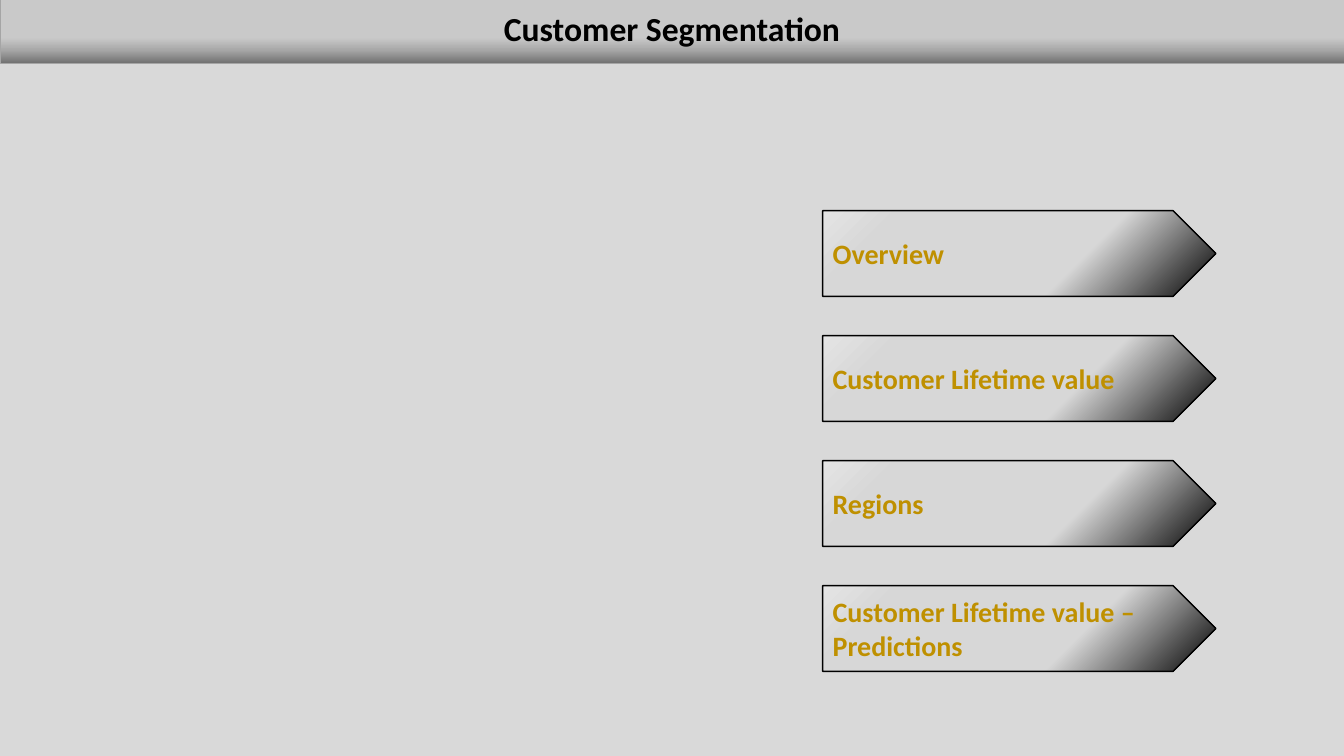
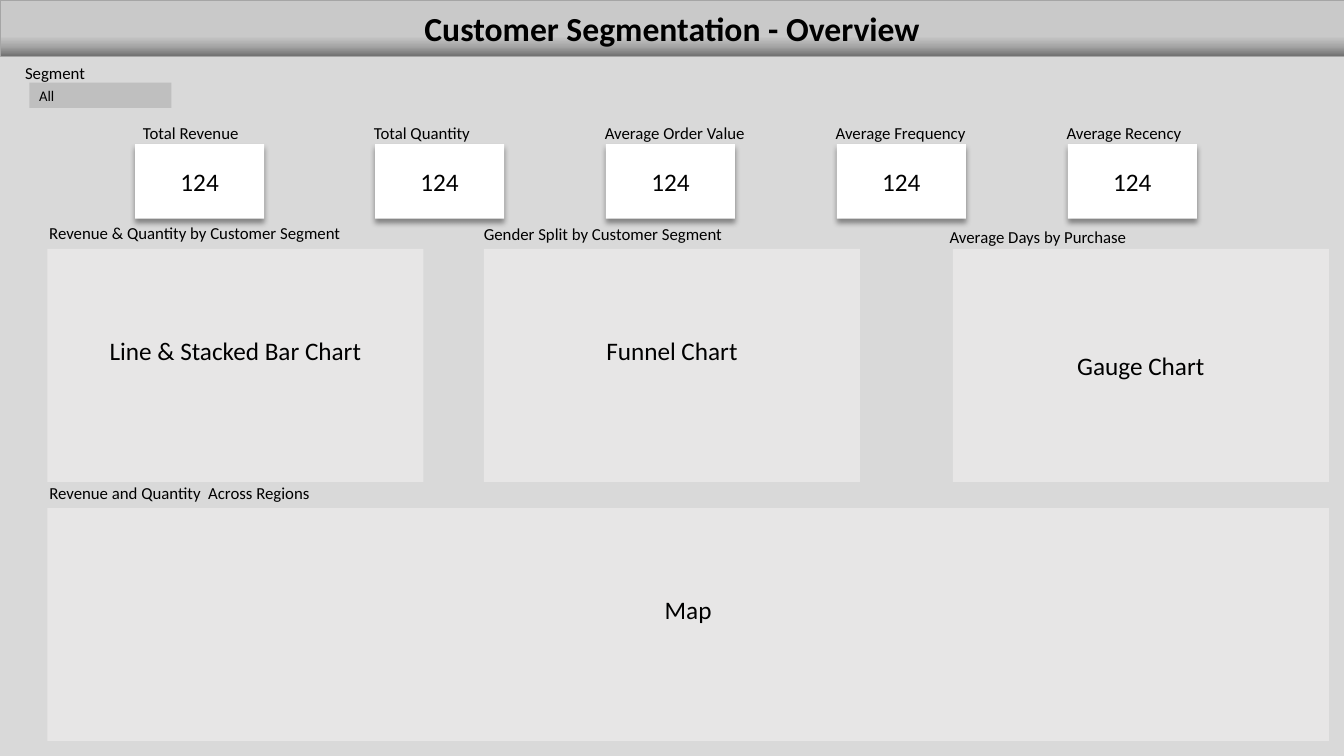
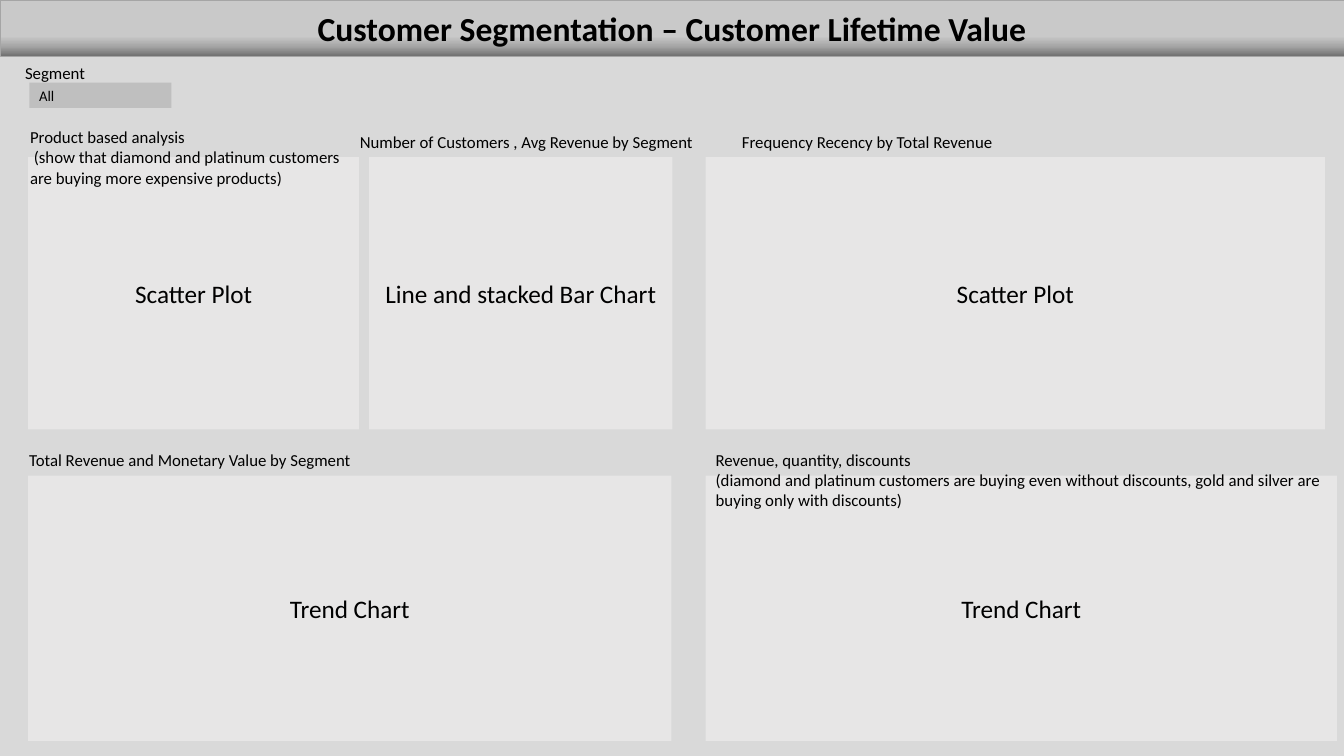
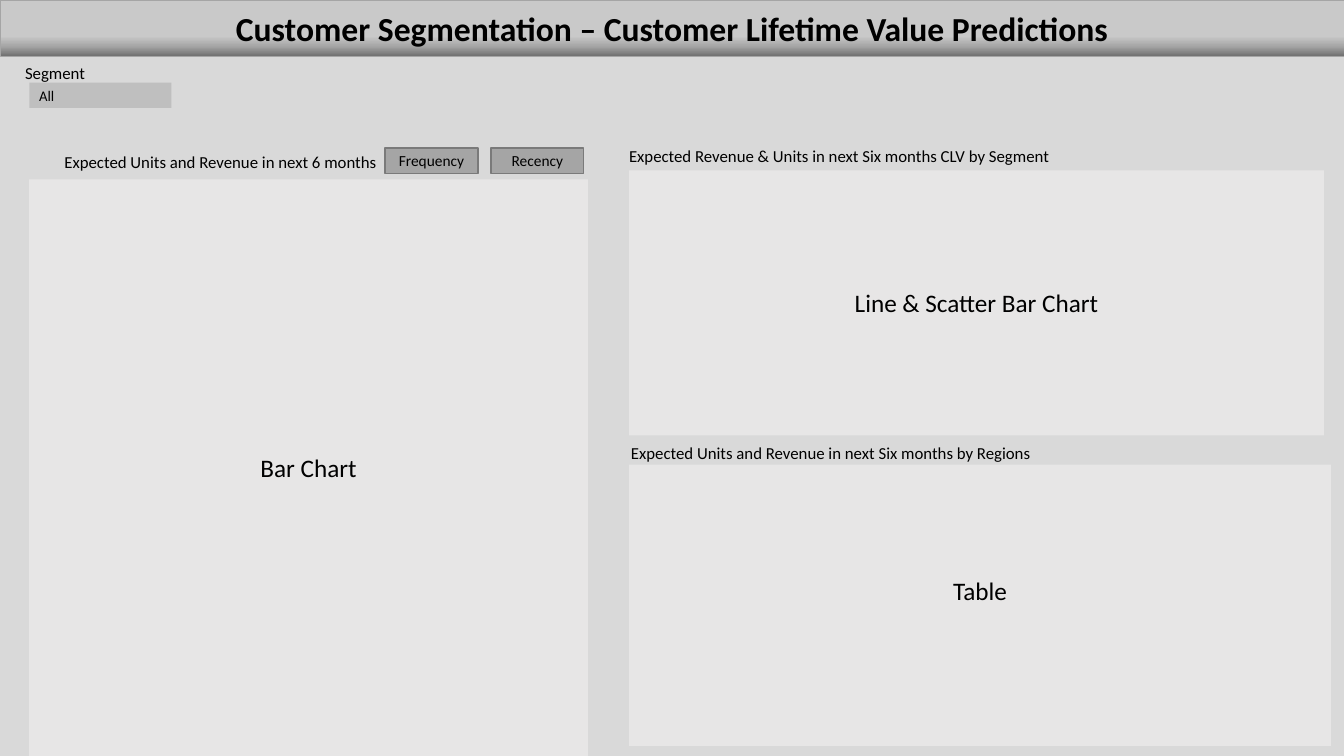
from lxml import etree
from pptx import Presentation
from pptx.dml.color import RGBColor
from pptx.enum import shapes, text
from pptx.oxml import ns
from pptx.util import Inches, Pt

# Shared colours, fonts and gradients
FONT = "Calibri"
BLACK = RGBColor(0x00, 0x00, 0x00)
WHITE = RGBColor(0xFF, 0xFF, 0xFF)
PAGE = RGBColor(0xD9, 0xD9, 0xD9)
PANEL = RGBColor(0xE7, 0xE6, 0xE6)
FILTER = RGBColor(0xBF, 0xBF, 0xBF)
GREY = RGBColor(0xA5, 0xA5, 0xA5)
BUTTON_LINE = RGBColor(0x7A, 0x7A, 0x7A)
GOLD = RGBColor(0xBF, 0x90, 0x00)
BAND_STOPS = [(0, "6F6F6F"), (19, "A8A8A8"), (36, "C9C9C9")]
ARROW_STOPS = [(0, "000000"), (36, "D7D7D7"), (83, "D7D7D7"), (100, "E4E4E4")]

LEFT, CENTER = text.PP_ALIGN.LEFT, text.PP_ALIGN.CENTER
RECT, ARROW = shapes.MSO_SHAPE.RECTANGLE, shapes.MSO_SHAPE.PENTAGON
SLIDE_W, SLIDE_H = 13.33, 7.5
BAND_BOX = (0, 0, SLIDE_W, 0.56)


# Basic parts
def write(sp, content, size, align=LEFT, color=BLACK, bold=False):
    tf = sp.text_frame
    tf.text = content
    tf.word_wrap = True
    for p in tf.paragraphs:
        p.alignment = align
        for r in p.runs:
            f = r.font
            f.name, f.size, f.bold = FONT, Pt(size), bold
            f.color.rgb = color


def set_gradient(sp, stops, angle):
    """Fill with (percent, colour) stops; the angle runs counter-clockwise."""
    sp.fill.gradient()
    sp.fill.gradient_angle = angle
    gs_list = next(sp._element.iter(ns.qn("a:gsLst")))
    for old in list(gs_list):
        gs_list.remove(old)
    for pos, color in stops:
        gs = etree.SubElement(gs_list, ns.qn("a:gs"), pos=str(pos * 1000))
        etree.SubElement(gs, ns.qn("a:srgbClr"), val=color)


def set_line(sp, color, width):
    sp.line.color.rgb = color
    sp.line.width = Pt(width)


def add_box(slide, box, fill=None, kind=RECT):
    sp = slide.shapes.add_shape(kind, *map(Inches, box))
    sp.shadow.inherit = False
    sp.text_frame.vertical_anchor = text.MSO_ANCHOR.MIDDLE
    sp.line.fill.background()
    if fill is not None:
        sp.fill.solid()
        sp.fill.fore_color.rgb = fill
    return sp


def add_caption(slide, content, x, y, w, h=0.3):
    write(slide.shapes.add_textbox(*map(Inches, (x, y, w, h))), content, 12)


def drop_shadow(sp):
    effects = sp._element.spPr.find(ns.qn("a:effectLst"))
    shadow = etree.SubElement(effects, ns.qn("a:outerShdw"), blurRad=str(Pt(4)),
                              dist=str(Pt(3)), dir="5400000", algn="t", rotWithShape="0")
    color = etree.SubElement(shadow, ns.qn("a:srgbClr"), val="000000")
    etree.SubElement(color, ns.qn("a:alpha"), val="40000")


# Regions
def new_slide(prs, title, box=BAND_BOX):
    """Title-only slide with the title as a gradient band."""
    slide = prs.slides.add_slide(prs.slide_layouts[5])
    sp = slide.shapes.title
    sp.left, sp.top, sp.width, sp.height = map(Inches, box)
    set_gradient(sp, BAND_STOPS, 90)
    set_line(sp, GREY, 0.5)
    write(sp, title, 24, CENTER, bold=True)
    sp.text_frame.auto_size = text.MSO_AUTO_SIZE.NONE
    sp.text_frame.vertical_anchor = text.MSO_ANCHOR.MIDDLE
    return slide


def segment_filter(slide, x=0.29, y=0.82):
    write(add_box(slide, (x, y, 1.41, 0.25), FILTER), "All", 10.5)
    add_caption(slide, "Segment", x - 0.14, y - 0.25, 1.17)


def menu_arrow(slide, content, box):
    sp = add_box(slide, box, kind=ARROW)
    set_gradient(sp, ARROW_STOPS, 135)
    set_line(sp, BLACK, 1)
    write(sp, content, 20, color=GOLD, bold=True)


def metric_card(slide, name, x, y, dx):
    """Caption at x, y with its value card dx to the right."""
    sp = add_box(slide, (x + dx, y + 0.26, 1.28, 0.74), WHITE)
    drop_shadow(sp)
    write(sp, "124", 18, CENTER)
    add_caption(slide, name, x, y, 1.6)


def chart_panel(slide, name, caption, box, dx=-0.08, dy=-0.3, caption_w=None, raised=False):
    """Chart area with a caption offset from its top-left corner."""
    x, y, w, h = box
    sp = add_box(slide, box, PANEL)
    write(sp, name, 18, CENTER)
    if raised:
        sp.text_frame.margin_bottom = Inches(0.35)
    caption_h = 0.71 if "\n" in caption else 0.3
    add_caption(slide, caption, x + dx, y + dy, caption_w or w, caption_h)


def button(slide, name, box):
    sp = add_box(slide, box, GREY)
    set_line(sp, BUTTON_LINE, 1)
    write(sp, name, 11, CENTER)


# Slides
def menu_slide(prs):
    slide = new_slide(prs, "Customer Segmentation", (0, -0.08, SLIDE_W, 0.71))
    entries = ["Overview", "Customer Lifetime value", "Regions",
               "Customer Lifetime value –\nPredictions"]
    for i, entry in enumerate(entries):
        menu_arrow(slide, entry, (8.16, 2.09 + 1.24 * i, 3.9, 0.85))


def overview_slide(prs):
    slide = new_slide(prs, "Customer Segmentation - Overview")
    segment_filter(slide)
    metrics = ["Total Revenue", "Total Quantity", "Average Order Value",
               "Average Frequency", "Average Recency"]
    for i, name in enumerate(metrics):
        metric_card(slide, name, 1.32 + 2.29 * i, 1.17, 0.11 if i else 0.02)
    w, h = 3.73, 2.31
    chart_panel(slide, "Line & Stacked Bar Chart", "Revenue & Quantity by Customer Segment",
                (0.47, 2.47, w, h), dy=-0.31, raised=True)
    chart_panel(slide, "Funnel Chart", "Gender Split by Customer Segment",
                (4.8, 2.47, w, h), dx=-0.1, raised=True)
    chart_panel(slide, "Gauge Chart", "Average Days by Purchase",
                (9.45, 2.47, w, h), dx=-0.13, dy=-0.27)
    chart_panel(slide, "Map", "Revenue and Quantity  Across Regions",
                (0.47, 5.04, 12.71, h), raised=True)


def lifetime_value_slide(prs):
    slide = new_slide(prs, "Customer Segmentation – Customer Lifetime Value")
    segment_filter(slide)
    # Upper row
    y, h = 1.56, 2.7
    chart_panel(slide, "Scatter Plot",
                "Product based analysis\n (show that diamond and platinum customers "
                "are buying more expensive products)",
                (0.28, y, 3.28, h), dy=-0.35, caption_w=3.4)
    chart_panel(slide, "Line and stacked Bar Chart",
                "Number of Customers , Avg Revenue by Segment",
                (3.66, y, 3.01, h), dx=-0.19, caption_w=3.53)
    chart_panel(slide, "Scatter Plot", "Frequency Recency by Total Revenue",
                (7, y, 6.14, h), dx=0.26, caption_w=2.9)
    # Lower row
    y, h = 4.72, 2.63
    chart_panel(slide, "Trend Chart", "Total Revenue and Monetary Value by Segment",
                (0.28, y, 6.38, h), dx=-0.09, dy=-0.31)
    chart_panel(slide, "Trend Chart",
                "Revenue, quantity, discounts\n(diamond and platinum customers are buying "
                "even without discounts, gold and silver are buying only with discounts)",
                (7, y, 6.26, h), dx=0, dy=-0.31)


def predictions_slide(prs):
    slide = new_slide(prs, "Customer Segmentation – Customer Lifetime Value Predictions")
    segment_filter(slide)
    chart_panel(slide, "Bar Chart", "Expected Units and Revenue in next 6 months",
                (0.29, 1.78, 5.54, 5.72), dx=0.25, dy=-0.32, caption_w=4.32)
    for i, name in enumerate(["Frequency", "Recency"]):
        button(slide, name, (3.82 + 1.05 * i, 1.47, 0.92, 0.25))
    chart_panel(slide, "Line & Scatter Bar Chart",
                "Expected Revenue & Units in next Six months CLV by Segment",
                (6.24, 1.69, 6.89, 2.63), dx=-0.1, dy=-0.29)
    chart_panel(slide, "Table", "Expected Units and Revenue in next Six months by Regions",
                (6.24, 4.61, 6.96, 2.79), dy=-0.27, raised=True)


def main():
    prs = Presentation()
    prs.slide_width, prs.slide_height = Inches(SLIDE_W), Inches(SLIDE_H)
    background = prs.slide_master.background.fill
    background.solid()
    background.fore_color.rgb = PAGE
    for build in (menu_slide, overview_slide, lifetime_value_slide, predictions_slide):
        build(prs)
    prs.save("out.pptx")


if __name__ == "__main__":
    main()
